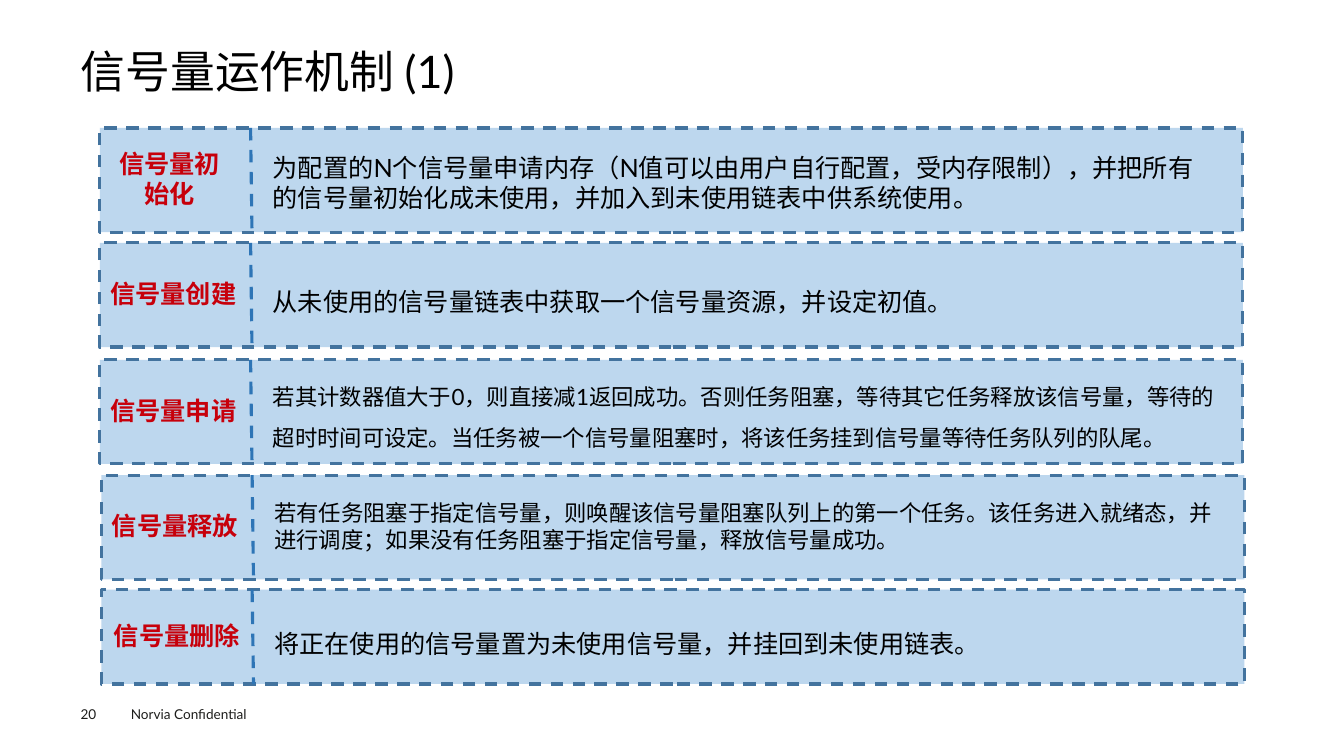
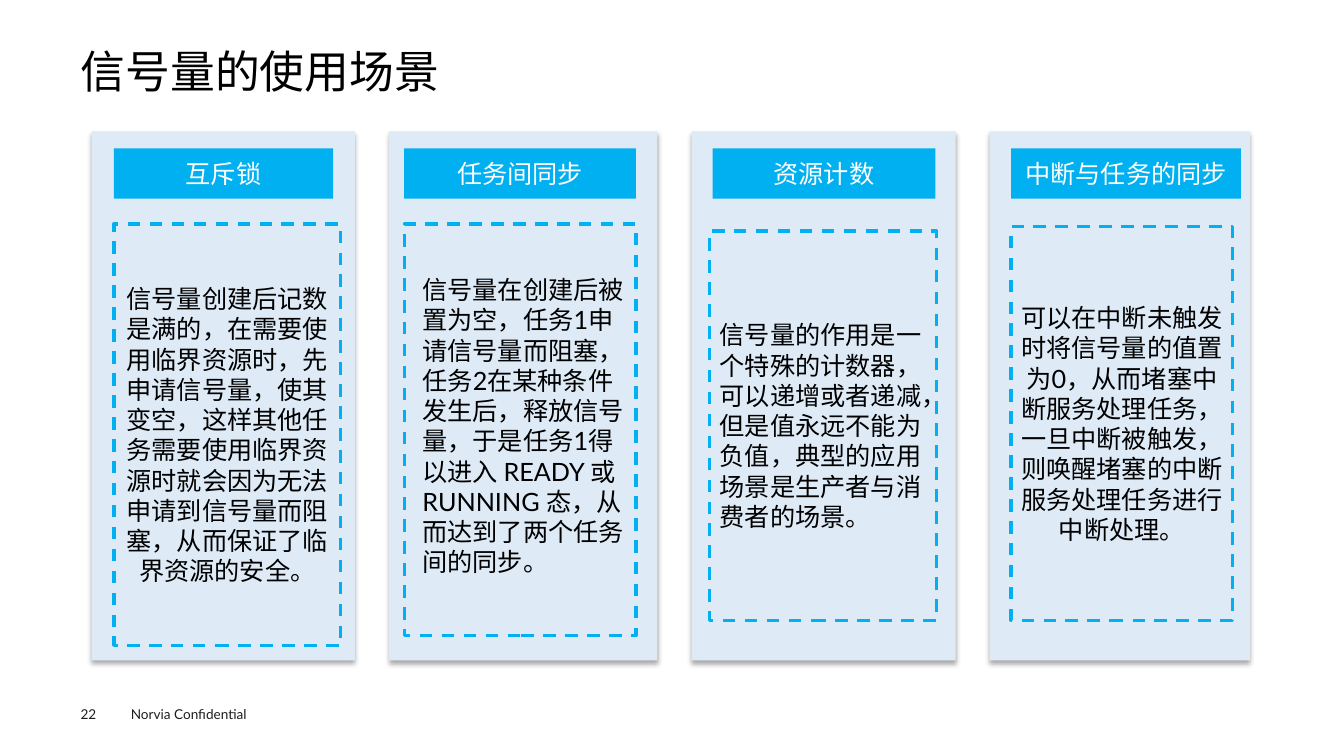
from dataclasses import dataclass
from typing import Any

from lxml.etree import SubElement
from pptx import Presentation
from pptx.dml.color import RGBColor
from pptx.enum.dml import MSO_LINE
from pptx.enum.lang import MSO_LANGUAGE_ID
from pptx.enum.shapes import MSO_CONNECTOR, MSO_SHAPE
from pptx.enum.text import MSO_ANCHOR, MSO_AUTO_SIZE, PP_ALIGN
from pptx.oxml.ns import qn
from pptx.util import Pt

FONT = "Lato"
BLACK = RGBColor(0x00, 0x00, 0x00)
WHITE = RGBColor(0xFF, 0xFF, 0xFF)
INK = RGBColor(0x1D, 0x1D, 0x1B)
RED = RGBColor(0xC7, 0x00, 0x0B)
BAND = RGBColor(0xBD, 0xD7, 0xEE)
EDGE = RGBColor(0x43, 0x73, 0x9E)
RULE = RGBColor(0x2E, 0x75, 0xB6)
PANEL = RGBColor(0xDE, 0xEB, 0xF7)
CYAN = RGBColor(0x00, 0xB0, 0xF0)
LEFT, MID = PP_ALIGN.LEFT, PP_ALIGN.CENTER
TOP, CORE = MSO_ANCHOR.TOP, MSO_ANCHOR.MIDDLE
FLAT = dict.fromkeys(("margin_left", "margin_right", "margin_top", "margin_bottom"), 0)
FOOTER = "Norvia Confidential"


@dataclass(frozen=True)
class Area:
    """A rectangle in points."""
    x: float
    y: float
    w: float
    h: float

    def size(self) -> tuple:
        """Return the four lengths."""
        return Pt(self.x), Pt(self.y), Pt(self.w), Pt(self.h)


@dataclass(frozen=True)
class Row:
    """One step of the mechanism."""
    area: Area
    label: str
    text: str
    size: int = 18
    gap: float = 1.5
    drop: float = 8
    shift: float = 0
    wide: float = 105


@dataclass(frozen=True)
class Card:
    """One use of the semaphore."""
    panel: Area
    head: Area
    box: Area
    label: str
    text: str
    align: Any = MID
    pad: float = 0


ROWS = (
    Row(Area(71.3, 91.4, 816.5, 74.4), "信号量初始化",
        "为配置的N个信号量申请内存（N值可以由用户自行配置，受内存限制），并把所有的信号量初始化成未使用，并加入到未使用链表中供系统使用。",
        gap=1, drop=11, wide=99.4),
    Row(Area(71.3, 173.5, 816.5, 74.4), "信号量创建",
        "从未使用的信号量链表中获取一个信号量资源，并设定初值。"),
    Row(Area(71.3, 257, 816.5, 74.4), "信号量申请",
        "若其计数器值大于0，则直接减1返回成功。否则任务阻塞，等待其它任务释放该信号量，等待的超时时间可设定。当任务被一个信号量阻塞时，将该任务挂到信号量等待任务队列的队尾。",
        size=16),
    Row(Area(72.4, 339.4, 816.5, 74.4), "信号量释放",
        "若有任务阻塞于指定信号量，则唤醒该信号量阻塞队列上的第一个任务。该任务进入就绪态，并进行调度；如果没有任务阻塞于指定信号量，释放信号量成功。",
        size=16, gap=1),
    Row(Area(72.4, 421.2, 816.5, 67.4), "信号量删除",
        "将正在使用的信号量置为未使用信号量，并挂回到未使用链表。",
        shift=-3.6, wide=115),
)

CARDS = (
    Card(Area(65.5, 93.8, 188, 378), Area(81.4, 106, 156.5, 36),
         Area(81.4, 160, 162, 301), "互斥锁",
         "信号量创建后记数是满的，在需要使用临界资源时，先申请信号量，使其变空，这样其他任务需要使用临界资源时就会因为无法申请到信号量而阻塞，从而保证了临界资源的安全。"),
    Card(Area(278, 93.8, 191.5, 378), Area(288.7, 106, 165.6, 36),
         Area(288.7, 160, 165.6, 294), "任务间同步",
         "信号量在创建后被置为空，任务1申请信号量而阻塞，任务2在某种条件发生后，释放信号量，于是任务1得以进入 READY 或 RUNNING 态，从而达到了两个任务间的同步。",
         align=LEFT, pad=5.8),
    Card(Area(494, 93.8, 188.6, 378), Area(509, 106, 159.2, 36),
         Area(507, 165, 162, 278), "资源计数",
         "信号量的作用是一个特殊的计数器，可以递增或者递减，但是值永远不能为负值，典型的应用场景是生产者与消费者的场景。",
         align=LEFT),
    Card(Area(707, 93.8, 186, 378), Area(722.2, 106, 164.2, 36),
         Area(722.2, 162, 158.4, 281), "中断与任务的同步",
         "可以在中断未触发时将信号量的值置为0，从而堵塞中断服务处理任务，一旦中断被触发，则唤醒堵塞的中断服务处理任务进行中断处理。"),
)


def put(item: Any, form: dict) -> None:
    """Set each attribute named in the format."""
    for name, value in form.items():
        setattr(item, name, value)


def write(shape: Any, text: str, size: float = 18, color: RGBColor = BLACK,
          align: Any = LEFT, anchor: Any = CORE, gap: float = 1,
          bold: bool = False, frame: dict | None = None) -> None:
    """Fill a shape with one formatted paragraph."""
    body = shape.text_frame
    put(body, {"word_wrap": True, "auto_size": MSO_AUTO_SIZE.NONE,
               "vertical_anchor": anchor, **(frame or {})})
    para = body.paragraphs[0]
    put(para, {"alignment": align, "line_spacing": gap})
    run = para.add_run()
    run.text = text
    put(run.font, {"name": FONT, "size": Pt(size), "bold": bold,
                   "language_id": MSO_LANGUAGE_ID.SIMPLIFIED_CHINESE})
    run.font.color.rgb = color


def label(slide: Any, area: Area, text: str, **form: Any) -> None:
    """Add a text box."""
    write(slide.shapes.add_textbox(*area.size()), text, **form)


def dash(line: Any, color: RGBColor) -> None:
    """Give a line the dashed style."""
    line.color.rgb = color
    put(line, {"width": Pt(2.25), "dash_style": MSO_LINE.DASH})


def block(slide: Any, area: Area, fill: RGBColor | None = None,
          edge: RGBColor | None = None) -> Any:
    """Add a rectangle with an optional fill and dashed edge."""
    shape = slide.shapes.add_shape(MSO_SHAPE.RECTANGLE, *area.size())
    shape.shadow.inherit = False
    if fill is None:
        shape.fill.background()
    else:
        shape.fill.solid()
        shape.fill.fore_color.rgb = fill
    if edge is None:
        shape.line.fill.background()
    else:
        dash(shape.line, edge)
    return shape


def shade(shape: Any) -> None:
    """Add a soft shadow below a shape."""
    effect = shape.element.spPr.find(qn("a:effectLst"))
    cast = SubElement(effect, qn("a:outerShdw"), blurRad=str(Pt(3.5)),
                      dist=str(Pt(2.2)), dir="5400000", algn="t", rotWithShape="0")
    tint = SubElement(cast, qn("a:srgbClr"), val=str(BLACK))
    SubElement(tint, qn("a:alpha"), val="32000")


def start(deck: Any, title: str, page: int) -> Any:
    """Add a slide with its title and footer."""
    slide = deck.slides.add_slide(deck.slide_layouts[5])
    head = slide.shapes.title
    put(head, dict(zip(("left", "top", "width", "height"),
                       Area(57.6, 35.3, 844.6, 38.2).size())))
    write(head, title, size=32, anchor=TOP, gap=0.9, frame=FLAT)
    foot = {"size": 9.7, "color": INK, "anchor": TOP}
    label(slide, Area(86.4, 500.4, 115.2, 19.4), FOOTER, **foot)
    label(slide, Area(57.6, 504, 39.6, 11.5), str(page), frame=FLAT, **foot)
    return slide


def step(slide: Any, row: Row) -> None:
    """Draw one row with its label, rule and text."""
    area = row.area
    block(slide, area, BAND, EDGE)
    rule = slide.shapes.add_connector(
        MSO_CONNECTOR.STRAIGHT, Pt(area.x + 107.7), Pt(area.y),
        Pt(area.x + 108.7), Pt(area.y + area.h))
    SubElement(rule.element.spPr, qn("a:effectLst"))
    dash(rule.line, RULE)
    high = area.h - 18
    label(slide, Area(area.x + row.shift, area.y + 8, row.wide, high),
          row.label, color=RED, align=MID, bold=True)
    label(slide, Area(area.x + 116.5, area.y + row.drop, 689, high),
          row.text, size=row.size, gap=row.gap)


def tile(slide: Any, card: Card) -> None:
    """Draw one panel with its heading and text."""
    shade(block(slide, card.panel, PANEL))
    write(block(slide, card.head, CYAN), card.label, color=WHITE, align=MID)
    inset = {"margin_left": Pt(7.2 + card.pad), "margin_bottom": Pt(3.6 + card.pad)}
    write(block(slide, card.box, edge=CYAN), card.text, align=card.align, frame=inset)


def main() -> None:
    """Build and save the deck."""
    deck = Presentation()
    put(deck, {"slide_width": Pt(960), "slide_height": Pt(540)})
    slide = start(deck, "信号量运作机制 (1)", 20)
    for row in ROWS:
        step(slide, row)
    slide = start(deck, "信号量的使用场景", 22)
    for card in CARDS:
        tile(slide, card)
    deck.save("out.pptx")


if __name__ == "__main__":
    main()
